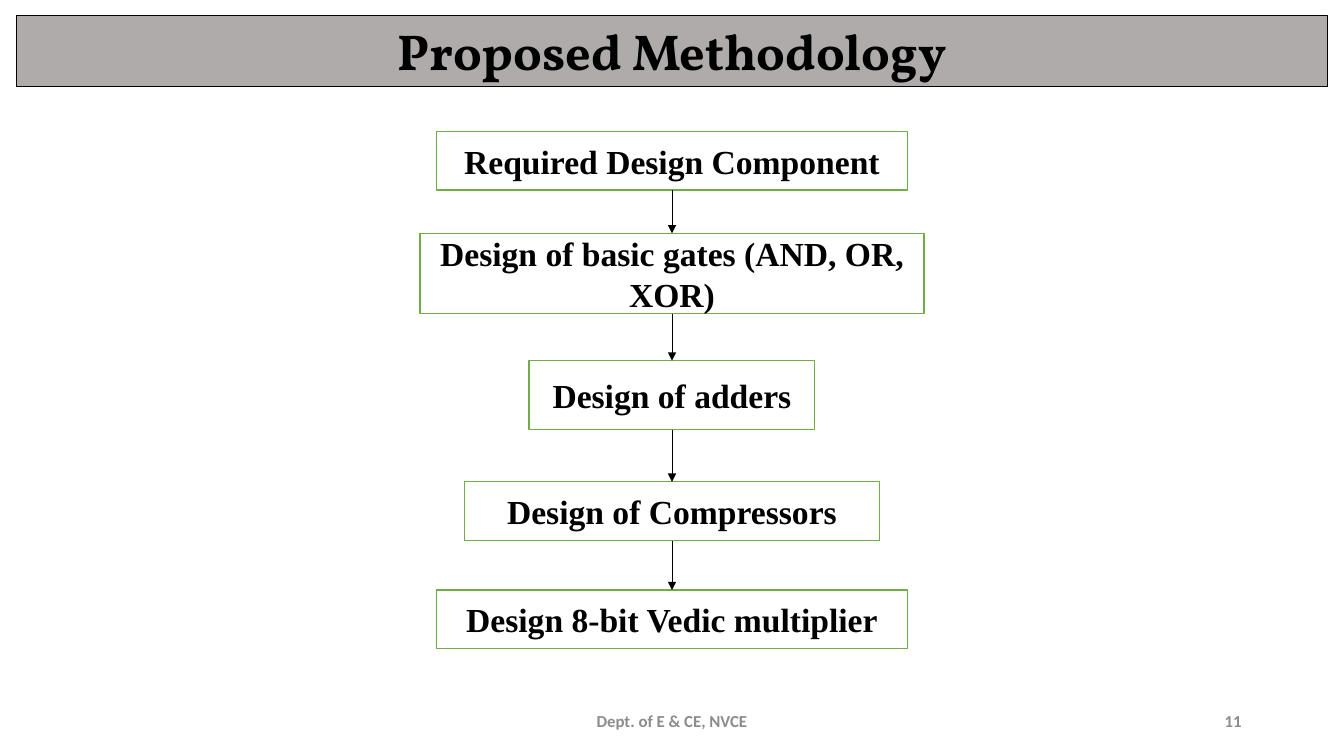
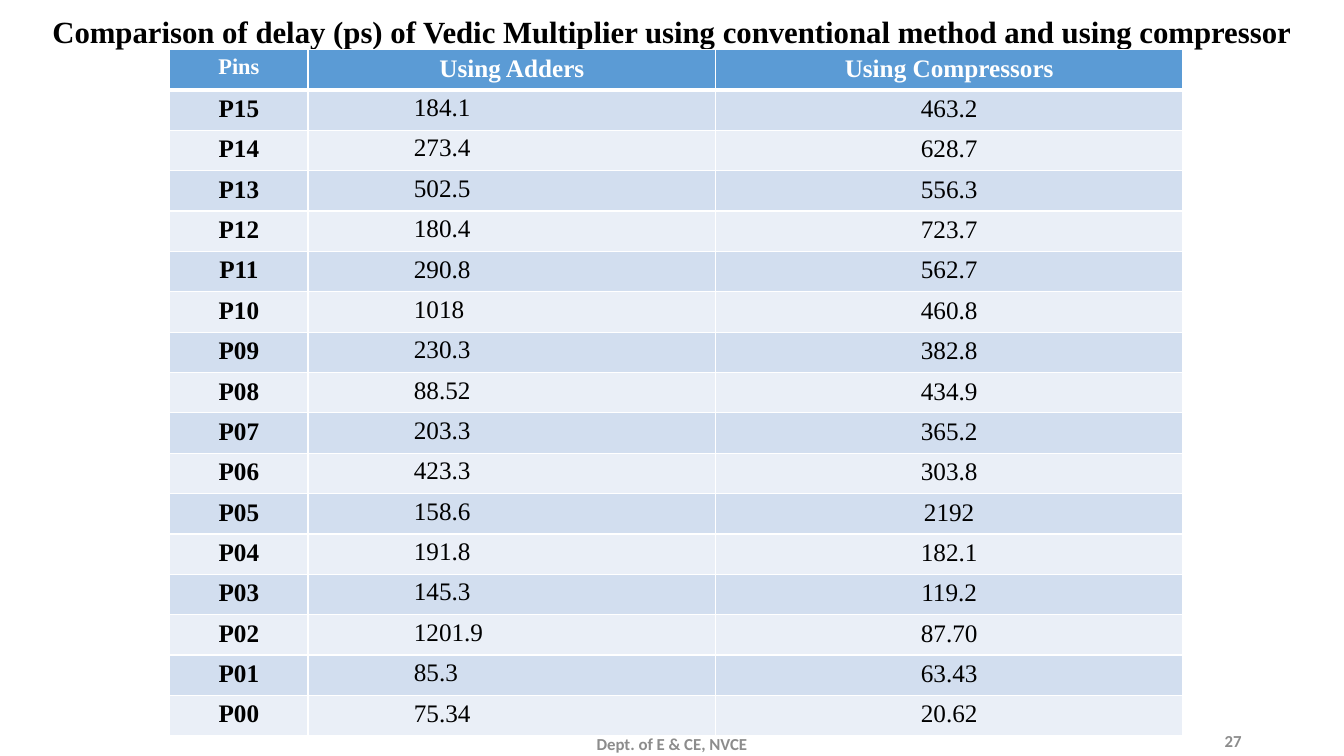
from lxml.etree import SubElement
from pptx import Presentation
from pptx.dml.color import RGBColor
from pptx.enum.shapes import MSO_CONNECTOR, MSO_SHAPE
from pptx.enum.text import MSO_ANCHOR, MSO_AUTO_SIZE, PP_ALIGN
from pptx.oxml.ns import qn
from pptx.util import Cm, Pt

# Shared look
COLORS = {
    "text": "000000",
    "white": "FFFFFF",
    "footer": "8C8C8C",
    "title_band": "AFABAB",
    "step_line": "70AD47",
    "header_row": "5B9BD5",
    "odd_row": "D2DEEF",
    "even_row": "EAEFF7",
}
BODY_FONT = "Times New Roman"
TITLE_FONT = "Vollkorn"
FOOTER_FONT = "Calibri"
FOOTER_TEXT = "Dept. of E & CE, NVCE"
SLIDE_WIDTH, SLIDE_HEIGHT = Cm(33.87), Cm(19.05)

# Flow steps: text, top, width, height in cm
STEPS = [
    ("Required Design Component", 3.31, 11.86, 1.48),
    ("Design of basic gates (AND, OR, XOR)", 5.88, 12.7, 2.02),
    ("Design of adders", 9.09, 7.2, 1.74),
    ("Design of Compressors", 12.14, 10.46, 1.48),
    ("Design 8-bit Vedic multiplier", 14.87, 11.86, 1.48),
]

# Delay in ps: pin, using adders, using compressors
HEADINGS = ("Pins", "Using Adders", "Using Compressors")
DELAYS = [
    ("P15", "184.1", "463.2"),
    ("P14", "273.4", "628.7"),
    ("P13", "502.5", "556.3"),
    ("P12", "180.4", "723.7"),
    ("P11", "290.8", "562.7"),
    ("P10", "1018", "460.8"),
    ("P09", "230.3", "382.8"),
    ("P08", "88.52", "434.9"),
    ("P07", "203.3", "365.2"),
    ("P06", "423.3", "303.8"),
    ("P05", "158.6", "2192"),
    ("P04", "191.8", "182.1"),
    ("P03", "145.3", "119.2"),
    ("P02", "1201.9", "87.70"),
    ("P01", "85.3", "63.43"),
    ("P00", "75.34", "20.62"),
]
COLUMN_WIDTHS = (3.48, 10.28, 11.76)
TABLE_HEIGHT = Cm(17.27)


def color(name):
    return RGBColor.from_string(COLORS[name])


def write(frame, text, size, font=BODY_FONT, ink="text", bold=True, align=PP_ALIGN.CENTER):
    para = frame.paragraphs[0]
    para.alignment = align
    span = para.add_run()
    span.text = text
    span.font.name = font
    span.font.size = Pt(size)
    span.font.bold = bold
    span.font.color.rgb = color(ink)
    return para


def add_text(page, left, top, width, height, text, size, anchor=MSO_ANCHOR.TOP, **style):
    box = page.shapes.add_textbox(Cm(left), Cm(top), Cm(width), Cm(height))
    frame = box.text_frame
    frame.word_wrap = True
    frame.vertical_anchor = anchor
    write(frame, text, size, **style)


def add_footer(page, number, text_top, number_top):
    items = [
        (FOOTER_TEXT, 11.22, text_top, 11.43, PP_ALIGN.CENTER),
        (number, 23.92, number_top, 7.62, PP_ALIGN.RIGHT),
    ]
    for text, left, top, width, align in items:
        add_text(page, left, top, width, 1.01, text, 12, MSO_ANCHOR.MIDDLE,
                 font=FOOTER_FONT, ink="footer", align=align)


def add_centred_box(page, top, width, height, fill, line, line_width):
    left = (SLIDE_WIDTH - Cm(width)) // 2
    box = page.shapes.add_shape(MSO_SHAPE.RECTANGLE, left, Cm(top), Cm(width), Cm(height))
    box.shadow.inherit = False
    box.fill.solid()
    box.fill.fore_color.rgb = color(fill)
    box.line.color.rgb = color(line)
    box.line.width = Pt(line_width)
    box.text_frame.word_wrap = True
    return box


def add_title_band(page, text):
    band = add_centred_box(page, 0.38, 33.02, 1.81, "title_band", "text", 0.75)
    band.text_frame.vertical_anchor = MSO_ANCHOR.TOP
    band.text_frame.auto_size = MSO_AUTO_SIZE.SHAPE_TO_FIT_TEXT
    write(band.text_frame, text, 36, font=TITLE_FONT)


def add_step(page, text, top, width, height):
    box = add_centred_box(page, top, width, height, "white", "step_line", 1)
    box.text_frame.vertical_anchor = MSO_ANCHOR.MIDDLE
    write(box.text_frame, text, 24)
    return box


def add_arrow(page, upper, lower):
    arrow = page.shapes.add_connector(MSO_CONNECTOR.STRAIGHT, 0, 0, 0, 0)
    arrow.begin_connect(upper, 2)
    arrow.end_connect(lower, 0)
    arrow.line.color.rgb = color("text")
    arrow.line.width = Pt(0.5)
    SubElement(arrow.line._get_or_add_ln(), qn("a:tailEnd"), type="triangle")
    SubElement(arrow._element.spPr, qn("a:effectLst"))


def set_borders(cell, **widths):
    properties = cell._tc.get_or_add_tcPr()
    for side in "LRTB":
        line = SubElement(properties, qn(f"a:ln{side}"), w=str(Pt(widths.get(side, 1))))
        fill = SubElement(line, qn("a:solidFill"))
        SubElement(fill, qn("a:srgbClr"), val=COLORS["white"])


def fill_cell(cell, fill):
    cell.fill.solid()
    cell.fill.fore_color.rgb = color(fill)


def fill_header(table):
    for column, text in enumerate(HEADINGS):
        cell = table.cell(0, column)
        set_borders(cell, B=3)
        fill_cell(cell, "header_row")
        write(cell.text_frame, text, 18 if column else 16, ink="white")


def fill_delays(table):
    for row, values in enumerate(DELAYS, start=1):
        for column, text in enumerate(values):
            cell = table.cell(row, column)
            set_borders(cell, T=3 if row == 1 else 1)
            fill_cell(cell, "odd_row" if row % 2 else "even_row")
            para = write(cell.text_frame, text, 18, bold=column == 0)
            if column == 1:
                indent_value(cell, para)


def indent_value(cell, para):
    cell.margin_left = cell.margin_right = Cm(0.13)
    cell.margin_top = cell.margin_bottom = 0
    para.alignment = PP_ALIGN.JUSTIFY
    para.line_spacing = 1.15
    para._p.get_or_add_pPr().set("marL", str(Cm(2.54)))


def add_delay_table(page):
    row_count = len(DELAYS) + 1
    frame = page.shapes.add_table(row_count, len(HEADINGS), Cm(4.28), Cm(1.25),
                                  Cm(sum(COLUMN_WIDTHS)), TABLE_HEIGHT)
    table = frame.table
    table.horz_banding = False
    for column, width in zip(table.columns, COLUMN_WIDTHS):
        column.width = Cm(width)
    for row in table.rows:
        row.height = TABLE_HEIGHT // row_count
    fill_header(table)
    fill_delays(table)


def build_methodology(page):
    add_footer(page, "11", 17.65, 17.65)
    boxes = [add_step(page, *step) for step in STEPS]
    for upper, lower in zip(boxes, boxes[1:]):
        add_arrow(page, upper, lower)
    add_title_band(page, "Proposed Methodology")


def build_comparison(page):
    add_footer(page, "27", 18.24, 18.16)
    title = ("Comparison of delay (ps) of Vedic Multiplier using "
             "conventional method and using compressor")
    add_text(page, 1.07, 0.2, 32.31, 1.19, title, 22, align=PP_ALIGN.LEFT)
    add_delay_table(page)


def main():
    deck = Presentation()
    deck.slide_width, deck.slide_height = SLIDE_WIDTH, SLIDE_HEIGHT
    for build in (build_methodology, build_comparison):
        build(deck.slides.add_slide(deck.slide_layouts[6]))
    deck.save("out.pptx")


if __name__ == "__main__":
    main()
